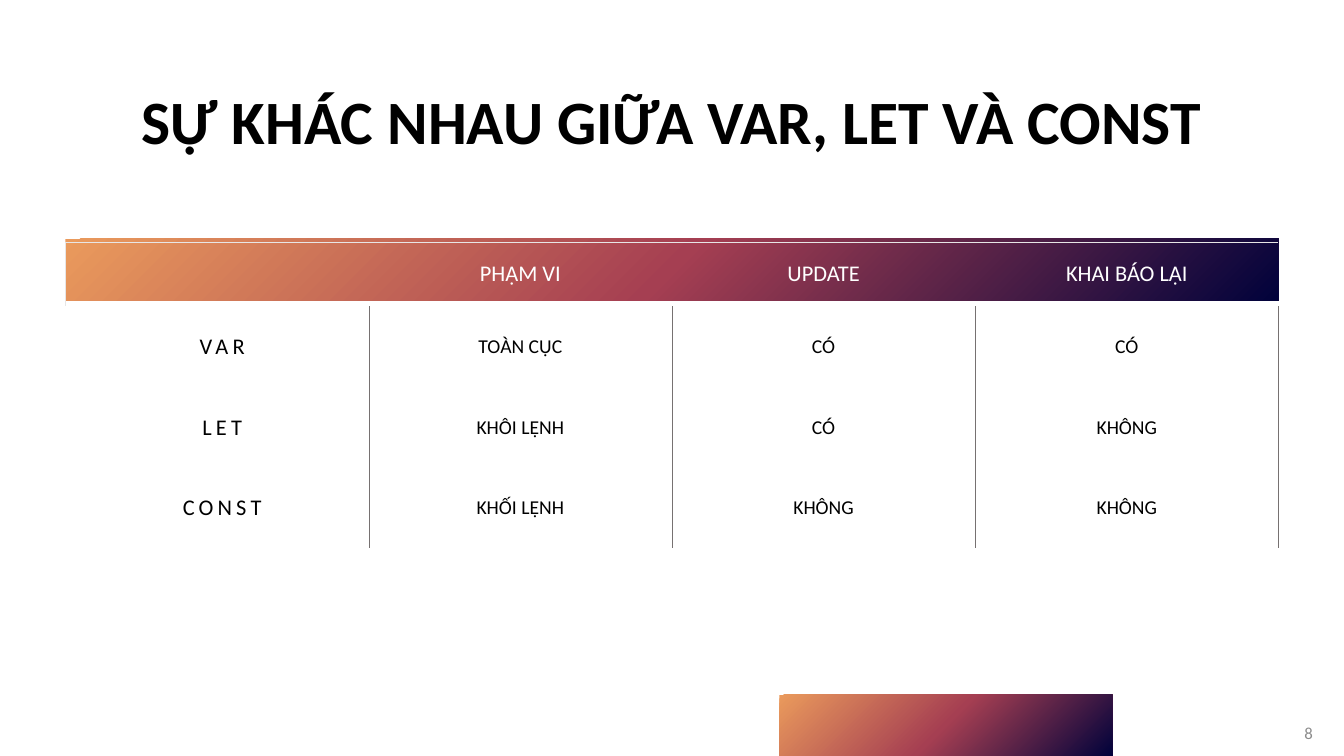
from lxml import etree
from pptx import Presentation
from pptx.dml.color import RGBColor
from pptx.enum import shapes, text
from pptx.oxml import parse_xml
from pptx.oxml.ns import nsdecls, qn
from pptx.util import Inches, Pt

BLACK = RGBColor(0x00, 0x00, 0x00)
WHITE = RGBColor(0xFF, 0xFF, 0xFF)
GRAY = RGBColor(0x8C, 0x8C, 0x8C)
RULE = RGBColor(0x76, 0x71, 0x71)
PALE = RGBColor(0xE7, 0xE6, 0xE6)
NAVY = RGBColor(0x01, 0x02, 0x3B)
ROSE = RGBColor(0xA5, 0x3F, 0x52)
SAND = RGBColor(0xEA, 0x9A, 0x5C)
CENTER = text.PP_ALIGN.CENTER
MIDDLE = text.MSO_ANCHOR.MIDDLE


def write(frame, words, align, form):
    para = frame.paragraphs[0]
    para.alignment = align
    run = para.add_run()
    run.text = words
    run.font.name = "Calibri"
    color = form["color"]
    run.font.color.rgb = color
    for key in ("size", "bold"):
        if key in form:
            setattr(run.font, key, form[key])
    return run


def edge(cell, lines):
    props = cell._tc.get_or_add_tcPr()
    for spot, side in enumerate("LRTB"):
        line = etree.Element(qn("a:ln" + side))
        if side in lines:
            color, width = lines[side]
            line.set("w", str(Pt(width)))
            fill = etree.SubElement(line, qn("a:solidFill"))
            etree.SubElement(fill, qn("a:srgbClr"), val=str(color))
        else:
            line.set("w", "0")
            etree.SubElement(line, qn("a:noFill"))
        props.insert(spot, line)


deck = Presentation()
deck.slide_width = Inches(13.33)
deck.slide_height = Inches(7.5)
slide = deck.slides.add_slide(deck.slide_layouts[6])

stops = "".join(
    f'<a:gs pos="{pos}"><a:srgbClr val="{color}"/></a:gs>'
    for pos, color in ((0, NAVY), (50000, ROSE), (100000, SAND))
)
for box in ((7.73, 6.89, 3.3, 0.61), (0.65, 2.37, 12.03, 0.61)):
    bar = slide.shapes.add_shape(shapes.MSO_SHAPE.RECTANGLE, *map(Inches, box))
    bar.shadow.inherit = False
    bar.line.fill.background()
    bar._element.spPr.find(qn("a:prstGeom")).addnext(parse_xml(
        f'<a:gradFill rotWithShape="1" {nsdecls("a")}><a:gsLst>{stops}</a:gsLst>'
        '<a:path path="circle"><a:fillToRect l="100000" t="100000"/></a:path>'
        '<a:tileRect r="-100000" b="-100000"/></a:gradFill>'
    ))

title = slide.shapes.add_textbox(Inches(0.56), Inches(0.41), Inches(12.21), Inches(1.57))
title.text_frame.word_wrap = True
write(title.text_frame, "SỰ KHÁC NHAU GIỮA VAR, LET VÀ CONST", CENTER,
      {"size": Pt(44), "color": BLACK, "bold": True})
head = title.text_frame.paragraphs[0]
head.line_spacing = 1.5
head.space_before = Pt(10)

page = slide.shapes.add_textbox(Inches(12.63), Inches(7.07), Inches(0.49), Inches(0.4))
page.text_frame.word_wrap = True
page.text_frame.vertical_anchor = MIDDLE
write(page.text_frame, "8", text.PP_ALIGN.RIGHT, {"size": Pt(12), "color": GRAY})

rows = (
    ("", "PHẠM VI", "UPDATE", "KHAI BÁO LẠI"),
    ("VAR", "TOÀN CỤC", "CÓ", "CÓ"),
    ("LET", "KHÔI LỆNH", "CÓ", "KHÔNG"),
    ("CONST", "KHỐI LỆNH", "KHÔNG", "KHÔNG"),
)
table = slide.shapes.add_table(
    4, 4, Inches(0.65), Inches(2.4), Inches(12.03), Inches(3.04)).table
table.first_row = False
table.horz_banding = False
for r, row in enumerate(rows):
    table.rows[r].height = Inches(0.8 if r else 0.64)
    for c, words in enumerate(row):
        cell = table.cell(r, c)
        cell.fill.background()
        cell.vertical_anchor = MIDDLE
        label = r > 0 and c == 0
        if words:
            form = {"size": Pt(14 if r and c else 16), "color": BLACK if r else WHITE}
            run = write(cell.text_frame, words, CENTER, form)
        if label:
            cell.margin_left = Inches(0.2)
            run.font._element.set("spc", "300")
        lines = {"R": (RULE, 0.25)} if r else {"T": (PALE, 0.5)}
        if r and c:
            lines["L"] = (RULE, 0.25)
        elif not r and not c:
            lines["L"] = (PALE, 0.5)
        edge(cell, lines)

deck.save("out.pptx")
